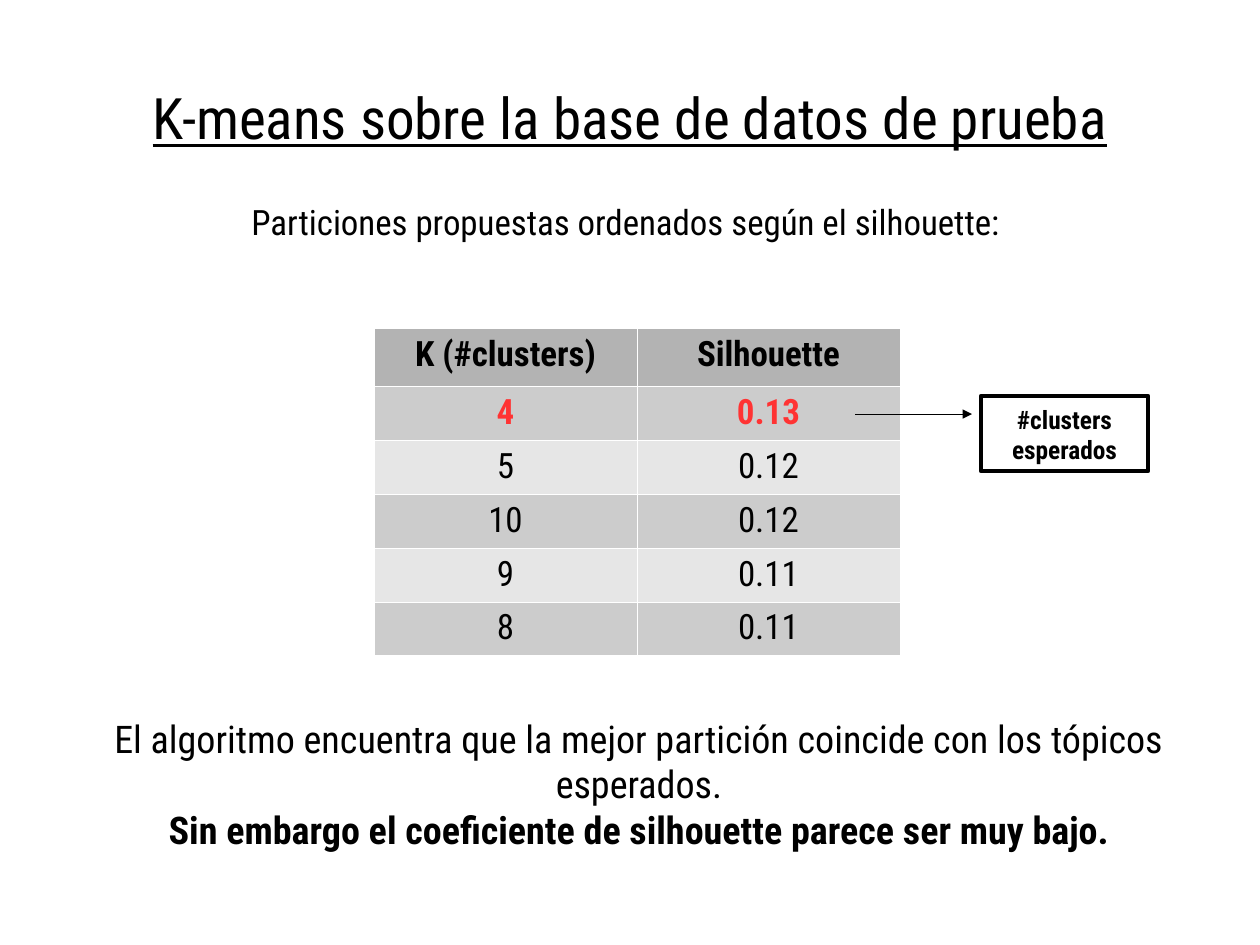
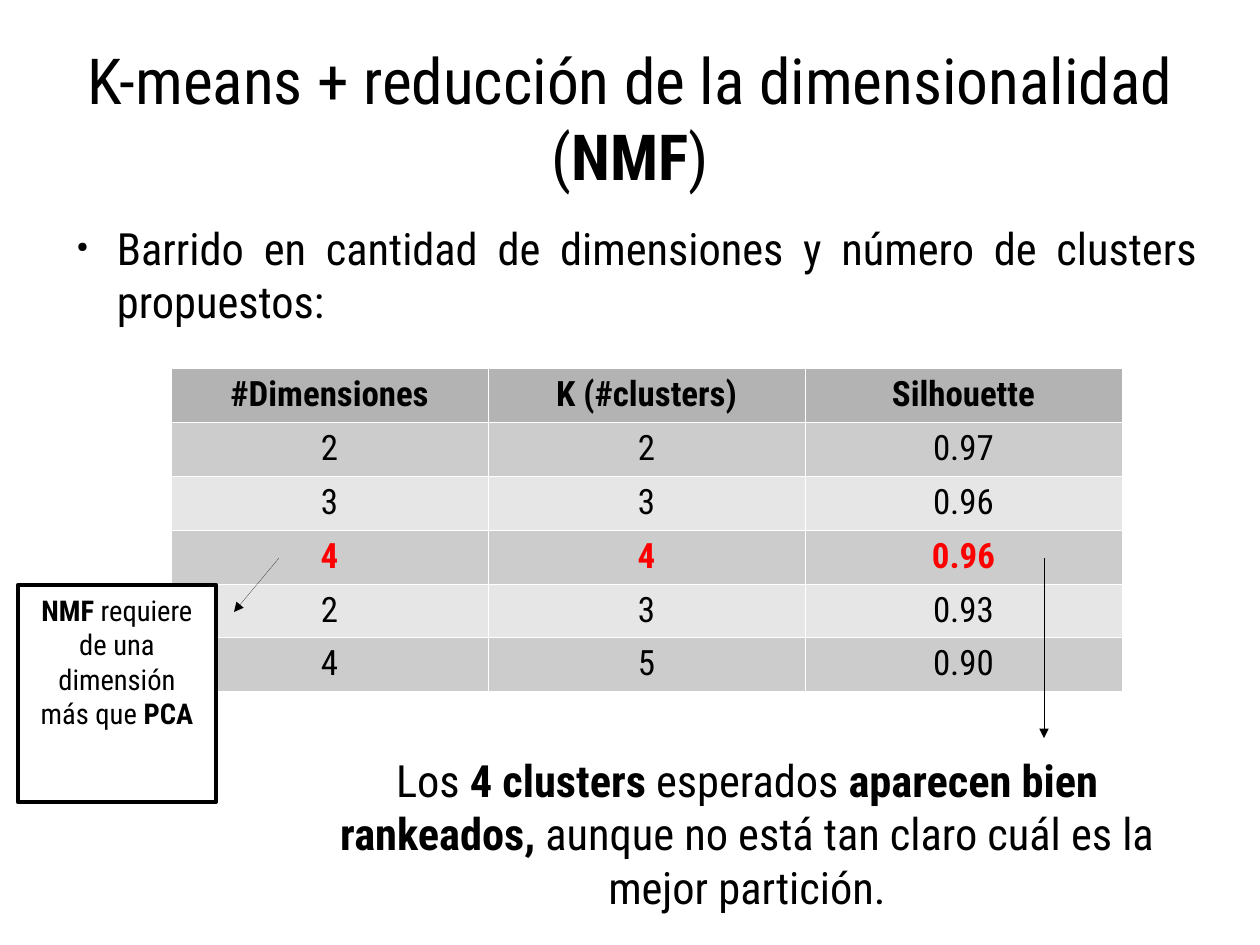
"""Build two slides on K-means clustering results."""
from dataclasses import dataclass
from typing import NamedTuple

from lxml.etree import SubElement
from pptx import Presentation
from pptx.dml.color import RGBColor
from pptx.enum.shapes import MSO_CONNECTOR as CONN, MSO_SHAPE as SHAPE
from pptx.enum.text import MSO_ANCHOR as ANCHOR, PP_ALIGN as ALIGN
from pptx.oxml.ns import qn
from pptx.util import Emu, Pt

FONT = "Roboto Condensed"
BLACK = RGBColor(0x00, 0x00, 0x00)
WHITE = RGBColor(0xFF, 0xFF, 0xFF)
CORAL = RGBColor(0xFF, 0x33, 0x33)
RED = RGBColor(0xFF, 0x00, 0x00)
HEADER = RGBColor(0xB3, 0xB3, 0xB3)
BANDS = (RGBColor(0xCC, 0xCC, 0xCC), RGBColor(0xE6, 0xE6, 0xE6))
EMU_PER_PX = 8000
SLIDE_W, SLIDE_H = 1260, 945
ROW_H = 53


class Box(NamedTuple):
    x: int
    y: int
    w: int
    h: int


class Run(NamedTuple):
    text: str
    bold: bool = False
    underline: bool = False


class Arrow(NamedTuple):
    x1: int
    y1: int
    x2: int
    y2: int


@dataclass
class Grid:
    x: int
    y: int
    col_w: int
    header_h: int
    rows: list[tuple[str, ...]]
    marked_row: int
    mark: RGBColor


TITLE = Box(63, 38, 1134, 158)


def px(n: int) -> Emu:
    return Emu(n * EMU_PER_PX)


def set_insets(tf, dx: int, dy: int) -> None:
    tf.margin_left = tf.margin_right = px(dx)
    tf.margin_top = tf.margin_bottom = px(dy)


def add_runs(p, runs: list[Run], size: int, color=BLACK) -> None:
    for run in runs:
        r = p.add_run()
        r.text = run.text
        f = r.font
        f.name, f.size, f.bold = FONT, Pt(size), run.bold
        f.color.rgb = color
        if run.underline:
            f.underline = True


def add_text(s, box: Box, paragraphs: list[list[Run]], size: int,
             insets: tuple[int, int] = (11, 6), align=ALIGN.CENTER):
    tf = s.shapes.add_textbox(*map(px, box)).text_frame
    tf.word_wrap = True
    set_insets(tf, *insets)
    for i, runs in enumerate(paragraphs):
        p = tf.add_paragraph() if i else tf.paragraphs[0]
        p.alignment = align
        add_runs(p, runs, size)
    return tf


def add_title(s, runs: list[Run], size: int) -> None:
    tf = add_text(s, TITLE, [runs], size, (0, 0))
    tf.vertical_anchor = ANCHOR.MIDDLE


def add_bullet(s, box: Box, text: str, size: int) -> None:
    tf = add_text(s, box, [[Run(text)]], size, (0, 0), ALIGN.JUSTIFY)
    pPr = tf.paragraphs[0]._p.get_or_add_pPr()
    pPr.set("marL", str(px(54)))
    pPr.set("indent", str(px(-40)))
    clr = SubElement(pPr, qn("a:buClr"))
    SubElement(clr, qn("a:srgbClr"), val=str(BLACK))
    SubElement(pPr, qn("a:buSzPct"), val="32000")
    SubElement(pPr, qn("a:buChar"), char="●")


def add_borders(cell) -> None:
    tcPr = cell._tc.get_or_add_tcPr()
    for i, side in enumerate(("lnL", "lnR", "lnT", "lnB")):
        ln = tcPr.makeelement(qn(f"a:{side}"), {"w": "720"})
        fill = SubElement(ln, qn("a:solidFill"))
        SubElement(fill, qn("a:srgbClr"), val=str(WHITE))
        tcPr.insert(i, ln)


def add_grid(s, g: Grid) -> None:
    n_rows, n_cols = len(g.rows), len(g.rows[0])
    box = Box(g.x, g.y, g.col_w * n_cols, g.header_h + ROW_H * (n_rows - 1))
    tbl = s.shapes.add_table(n_rows, n_cols, *map(px, box)).table
    for col in tbl.columns:
        col.width = px(g.col_w)
    for i, values in enumerate(g.rows):
        tbl.rows[i].height = px(ROW_H if i else g.header_h)
        marked = i == g.marked_row
        for j, value in enumerate(values):
            cell = tbl.cell(i, j)
            cell.fill.solid()
            cell.fill.fore_color.rgb = BANDS[(i - 1) % 2] if i else HEADER
            set_insets(cell, 11, 6)
            add_borders(cell)
            p = cell.text_frame.paragraphs[0]
            p.alignment = ALIGN.CENTER
            add_runs(p, [Run(value, bold=marked or i == 0)], 22,
                     g.mark if marked else BLACK)


def add_callout(s, box: Box, runs: list[Run], size: int) -> None:
    sp = s.shapes.add_shape(SHAPE.RECTANGLE, *map(px, box))
    sp.shadow.inherit = False
    sp.fill.solid()
    sp.fill.fore_color.rgb = WHITE
    sp.line.color.rgb = BLACK
    sp.line.width = Pt(2.83)
    tf = sp.text_frame
    tf.word_wrap = True
    tf.vertical_anchor = ANCHOR.TOP
    set_insets(tf, 14, 8)
    p = tf.paragraphs[0]
    p.alignment = ALIGN.CENTER
    add_runs(p, runs, size)


def add_arrow(s, arrow: Arrow) -> None:
    c = s.shapes.add_connector(CONN.STRAIGHT, *map(px, arrow))
    c.line.color.rgb = BLACK
    ln = c.line._get_or_add_ln()
    ln.set("w", "0")
    SubElement(ln, qn("a:tailEnd"), type="triangle")
    SubElement(c._element.spPr, qn("a:effectLst"))


def build_test_base(s) -> None:
    add_title(s, [Run("K-means sobre la base de datos de prueba", underline=True)], 36)
    add_grid(s, Grid(374, 328, 263, 58, [
        ("K (#clusters)", "Silhouette"),
        ("4", "0.13"),
        ("5", "0.12"),
        ("10", "0.12"),
        ("9", "0.11"),
        ("8", "0.11"),
    ], 1, CORAL))
    add_text(s, Box(63, 195, 1125, 93),
             [[Run("Particiones propuestas ordenados según el silhouette:")]], 22)
    add_text(s, Box(99, 709, 1080, 190), [
        [Run("El algoritmo encuentra que la mejor partición coincide con "
             "los tópicos esperados.")],
        [Run("Sin embargo el coeficiente de silhouette parece ser muy bajo.", True)],
    ], 24)
    add_callout(s, Box(981, 396, 167, 75), [Run("#clusters esperados", True)], 16)
    add_arrow(s, Arrow(855, 414, 972, 414))


def build_nmf(s) -> None:
    add_bullet(s, Box(63, 221, 1134, 114),
               "Barrido en cantidad de dimensiones y número de clusters propuestos:", 28)
    add_title(s, [Run("K-means + reducción de la dimensionalidad ("),
                  Run("NMF", True), Run(")")], 40)
    add_grid(s, Grid(171, 368, 317, 53, [
        ("#Dimensiones", "K (#clusters)", "Silhouette"),
        ("2", "2", "0.97"),
        ("3", "3", "0.96"),
        ("4", "4", "0.96"),
        ("2", "3", "0.93"),
        ("4", "5", "0.90"),
    ], 3, RED))
    add_text(s, Box(306, 747, 882, 167), [[
        Run("Los "), Run("4 clusters", True), Run(" esperados"),
        Run(" aparecen bien rankeados,", True),
        Run(" aunque no está tan claro cuál es la mejor partición."),
    ]], 28)
    add_arrow(s, Arrow(1044, 558, 1044, 738))
    add_callout(s, Box(18, 585, 198, 217), [
        Run("NMF", True), Run(" requiere de una dimensión más que "), Run("PCA", True),
    ], 18)
    add_arrow(s, Arrow(279, 558, 234, 612))


def main() -> None:
    prs = Presentation()
    prs.slide_width, prs.slide_height = px(SLIDE_W), px(SLIDE_H)
    for build in (build_test_base, build_nmf):
        build(prs.slides.add_slide(prs.slide_layouts[6]))
    prs.save("out.pptx")


if __name__ == "__main__":
    main()
